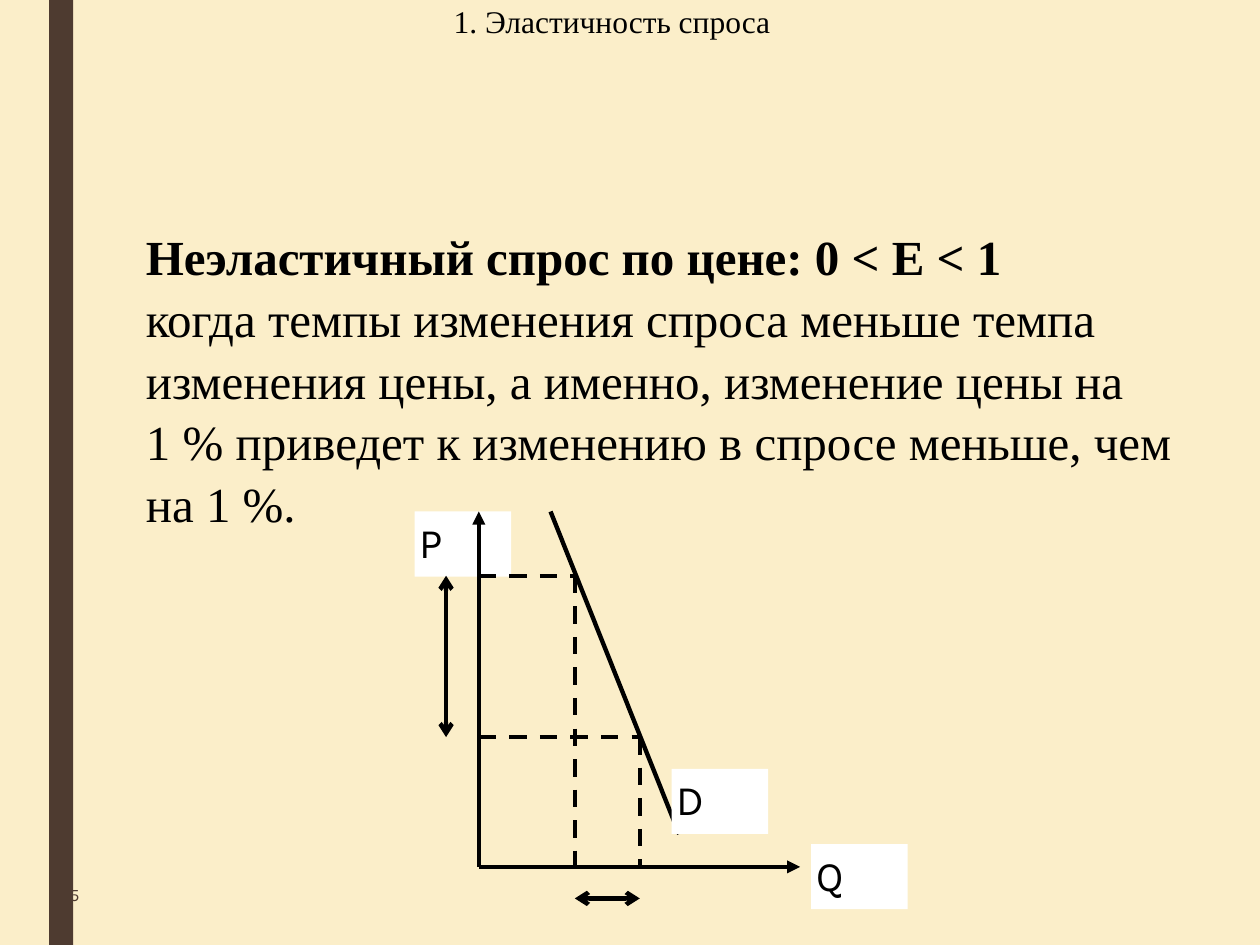
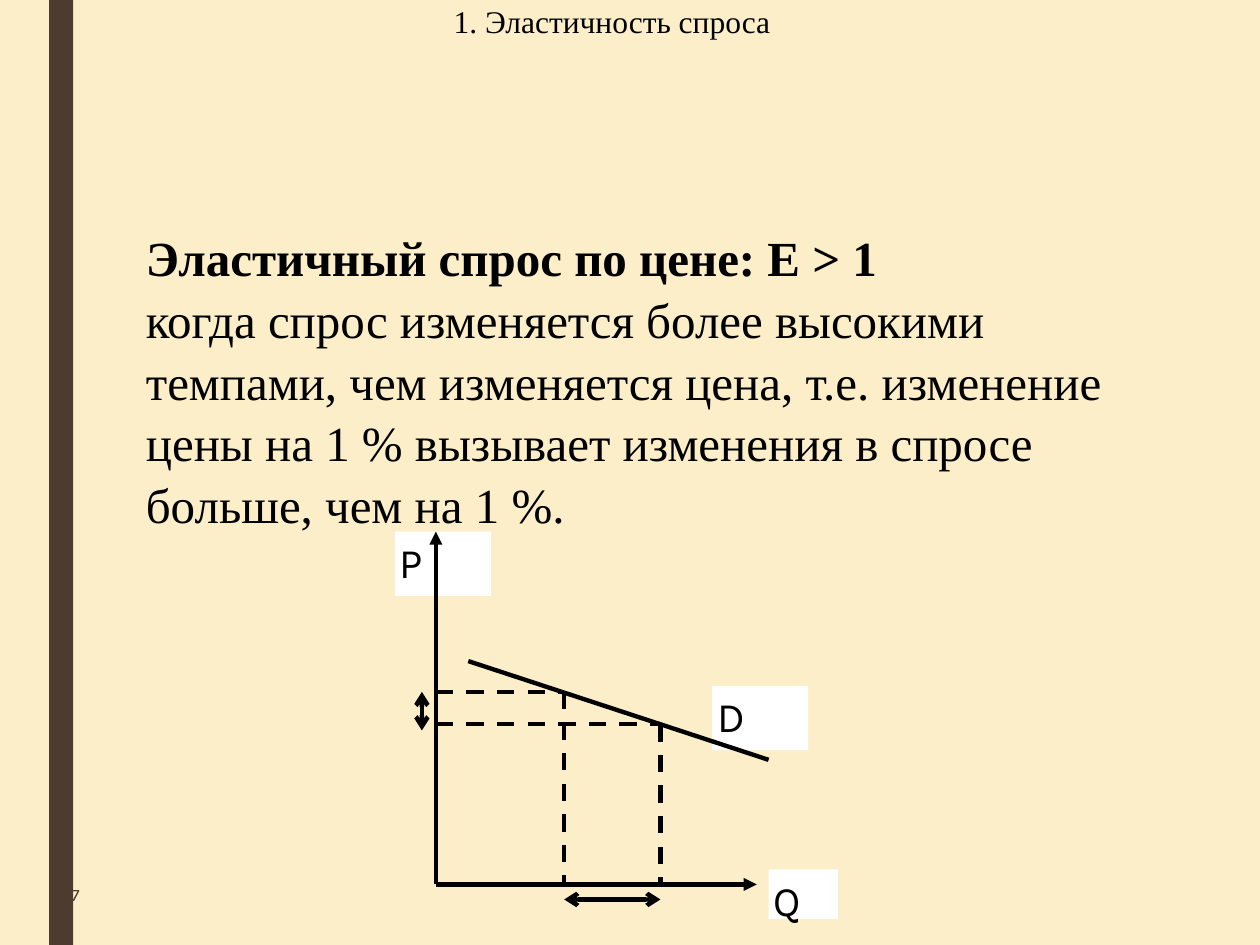
import lxml.etree
import pptx
import pptx.dml.color
import pptx.enum.dml
import pptx.enum.shapes
import pptx.enum.text
import pptx.oxml.ns
import pptx.util

Pt = pptx.util.Pt
RGB = pptx.dml.color.RGBColor.from_string
ANCHOR = pptx.enum.text.MSO_ANCHOR
ALIGN = pptx.enum.text.PP_ALIGN
DASH = pptx.enum.dml.MSO_LINE.DASH
RECT = pptx.enum.shapes.MSO_SHAPE.RECTANGLE
STRAIGHT = pptx.enum.shapes.MSO_CONNECTOR.STRAIGHT

TITLE = "1. Эластичность спроса"

# Diagram lengths are in points; a label is (text, left, top, width, height).
SLIDES = [
    {
        "number": "5",
        "body_top": 128.2,
        "body": [
            "Неэластичный спрос по цене: 0 < Е < 1",
            "когда темпы изменения спроса меньше темпа изменения цены, "
            "а именно, изменение цены на",
            "1 % приведет к изменению в спросе меньше, чем на 1 %.",
        ],
        "origin": (273.6, 495.4),
        "axis_ends": (457.2, 292.3),
        "demand": (314.6, 292.3, 388.1, 476.6),
        "points": [(328.5, 329), (365.6, 421.2)],
        "price_change": (254.9, 329, 421.2),
        "quantity_change_y": 513.4,
        "labels_behind": [("Q", 463.5, 482.4, 55.2, 37.2),
                          ("P", 236.9, 292.3, 55.2, 37.2)],
        "labels_in_front": [("D", 383.8, 439.4, 55.2, 37.2)],
    },
    {
        "number": "7",
        "body_top": 128.8,
        "body": [
            "Эластичный спрос по цене: Е > 1",
            "когда спрос изменяется более высокими темпами, чем изменяется "
            "цена, т.е. изменение цены на 1 % вызывает изменения в спросе "
            "больше, чем на 1 %.",
        ],
        "origin": (249.1, 505.4),
        "axis_ends": (432.5, 303.8),
        "demand": (267.6, 377.8, 439.2, 434.2),
        "points": [(322.4, 395.4), (377.4, 413.9)],
        "price_change": (241.1, 395.4, 417.4),
        "quantity_change_y": 514,
        "labels_behind": [("D", 406.9, 391.9, 55, 36.8),
                          ("Q", 439.2, 496.8, 39.6, 28.3),
                          ("P", 225.6, 303.8, 55, 36.8)],
        "labels_in_front": [],
    },
]

THEME = {
    "background": RGB("FBEEC9"),
    "band": RGB("4E3B30"),
    "label": RGB("FFFFFF"),
    "line": RGB("000000"),
    "line_width": Pt(2.5),
    "title": {"font": {"name": "Times New Roman", "size": Pt(18), "bold": False},
              "color": RGB("000000"),
              "paragraph": {"alignment": ALIGN.LEFT, "line_spacing": 0.89}},
    "body": {"font": {"name": "Times New Roman", "size": Pt(28), "bold": False},
             "color": RGB("000000"),
             "paragraph": {"alignment": ALIGN.LEFT, "line_spacing": 1.05}},
    "number": {"font": {"name": "Karla", "size": Pt(10)},
               "color": RGB("4E3B30"),
               "paragraph": {"alignment": ALIGN.RIGHT}},
    "axis_label": {"font": {"name": "Karla", "size": Pt(24)},
                   "color": RGB("000000"),
                   "paragraph": {"alignment": ALIGN.LEFT}},
}


def set_attributes(target, values):
    for name, value in values.items():
        setattr(target, name, value)


def write(sp, lines, style, anchor, inset=(7.2, 3.6)):
    """Fill a shape with one paragraph per line; inset is (sides, top and bottom)."""
    across, down = map(Pt, inset)
    tf = sp.text_frame
    set_attributes(tf, {
        "word_wrap": True, "auto_size": pptx.enum.text.MSO_AUTO_SIZE.NONE,
        "vertical_anchor": anchor, "margin_left": across, "margin_right": across,
        "margin_top": down, "margin_bottom": down,
    })
    for i, line in enumerate(lines):
        p = tf.add_paragraph() if i else tf.paragraphs[0]
        set_attributes(p, style["paragraph"])
        r = p.add_run()
        r.text = line
        set_attributes(r.font, style["font"])
        r.font.color.rgb = style["color"]


def add_rectangle(shapes, box, color):
    sp = shapes.add_shape(RECT, *map(Pt, box))
    sp.shadow.inherit = False
    sp.fill.solid()
    sp.fill.fore_color.rgb = color
    sp.line.fill.background()
    return sp


def add_line(shapes, ends, dash=None, head=None, tail=None):
    cx = shapes.add_connector(STRAIGHT, *map(Pt, ends))
    cx.line.color.rgb = THEME["line"]
    cx.line.width = THEME["line_width"]
    if dash:
        cx.line.dash_style = dash
    sp_pr = cx.element.spPr
    ln = sp_pr.find(pptx.oxml.ns.qn("a:ln"))
    for tag, kind in (("a:headEnd", head), ("a:tailEnd", tail)):
        if kind:
            lxml.etree.SubElement(ln, pptx.oxml.ns.qn(tag), type=kind)
    lxml.etree.SubElement(sp_pr, pptx.oxml.ns.qn("a:effectLst"))


def add_labels(shapes, labels):
    for text, *box in labels:
        sp = add_rectangle(shapes, box, THEME["label"])
        write(sp, [text], THEME["axis_label"], ANCHOR.TOP, (2.9, 2.9))


def add_demand_diagram(s, data):
    shapes = s.shapes.add_group_shape().shapes
    x0, y0 = data["origin"]
    right, top = data["axis_ends"]
    add_labels(shapes, data["labels_behind"])
    add_line(shapes, (x0, y0, x0, top), tail="triangle")
    add_line(shapes, (x0, y0, right, y0), tail="triangle")
    add_line(shapes, data["demand"])
    add_labels(shapes, data["labels_in_front"])
    for q, price in data["points"]:
        add_line(shapes, (x0, price, q, price), dash=DASH)
        add_line(shapes, (q, price, q, y0), dash=DASH)
    x, start, end = data["price_change"]
    y = data["quantity_change_y"]
    (q1, _), (q2, _) = data["points"]
    for ends in ((x, start, x, end), (q1, y, q2, y)):
        add_line(shapes, ends, head="arrow", tail="arrow")


def add_slide(prs, data):
    s = prs.slides.add_slide(prs.slide_layouts.get_by_name("Title Only"))
    add_rectangle(s.shapes, (28.1, 0, 13.7, 540), THEME["band"])

    title = s.shapes.title
    set_attributes(title, {"left": Pt(252), "top": Pt(0),
                           "width": Pt(468), "height": Pt(60.5)})
    write(title, [TITLE], THEME["title"], ANCHOR.TOP)

    number = s.shapes.add_textbox(*map(Pt, (6.5, 491.8, 46.1, 38.2)))
    write(number, [data["number"]], THEME["number"], ANCHOR.MIDDLE)

    body = s.shapes.add_textbox(*map(Pt, (76.3, data["body_top"], 607, 175.7)))
    write(body, data["body"], THEME["body"], ANCHOR.MIDDLE)
    body.text_frame.paragraphs[0].runs[0].font.bold = True

    add_demand_diagram(s, data)


def main():
    prs = pptx.Presentation()
    prs.slide_width, prs.slide_height = Pt(720), Pt(540)
    background = prs.slide_master.background.fill
    background.solid()
    background.fore_color.rgb = THEME["background"]
    for data in SLIDES:
        add_slide(prs, data)
    prs.save("out.pptx")


if __name__ == "__main__":
    main()
